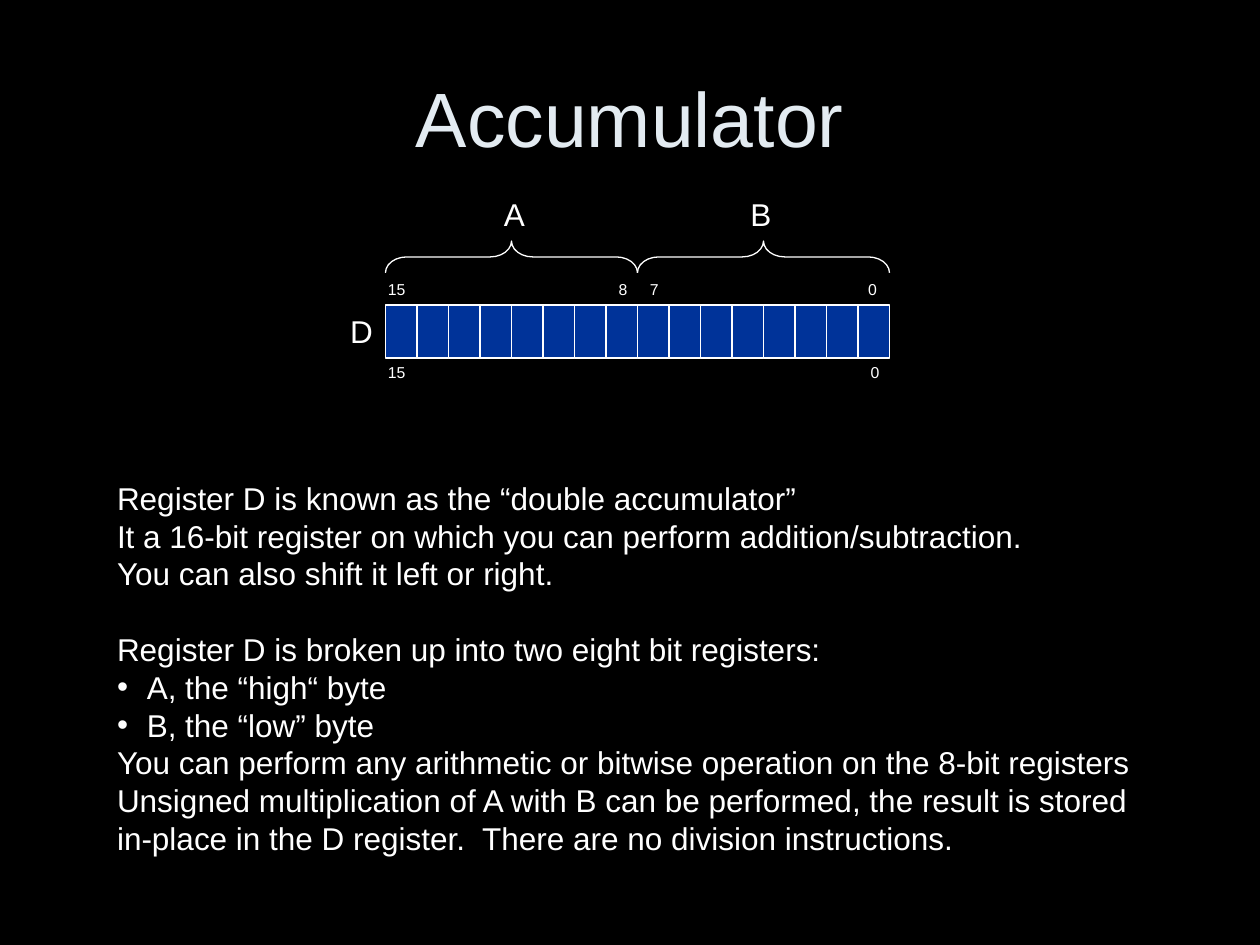
"""Builds a slide showing how accumulator D splits into registers A and B."""
from lxml.etree import SubElement
from pptx import Presentation
from pptx.dml.color import RGBColor
from pptx.enum.shapes import MSO_SHAPE
from pptx.enum.text import MSO_ANCHOR, PP_ALIGN
from pptx.oxml.ns import qn
from pptx.util import Cm, Pt

WHITE, BLACK, BLUE, PALE = "FFFFFF", "000000", "003399", "E3EBF1"
TITLE = "Accumulator"
BITS = 16
REGISTER_LEFT, REGISTER_TOP = 7.77, 6.15
REGISTER_WIDTH, REGISTER_HEIGHT = 10.16, 1.07
BRACE_TOP, BRACE_DEPTH = 4.86, 0.64
NAMES = [("D", 6.81, 6.17), ("A", 9.91, 3.81), ("B", 14.88, 3.81)]
BIT_NUMBERS = [
    ("15", 7.57, 5.51), ("8", 12.22, 5.51), ("7", 12.85, 5.51),
    ("0", 17.25, 5.51), ("15", 7.57, 7.19), ("0", 17.3, 7.19),
]
EXPLANATION = [
    ("Register D is known as the “double accumulator”", "plain"),
    ("It a 16-bit register on which you can perform addition/subtraction.", "plain"),
    ("You can also shift it left or right.", "plain"),
    ("Register D is broken up into two eight bit registers:", "section"),
    ("A, the “high“ byte", "bullet"),
    ("B, the “low” byte", "bullet"),
    ("You can perform any arithmetic or bitwise operation on the 8-bit registers", "plain"),
    ("Unsigned multiplication of A with B can be performed, the result is stored\n"
     "in-place in the D register.  There are no division instructions.", "plain"),
]
LINE_PITCH = Pt(21.6)


def colour(hex_code):
    return RGBColor.from_string(hex_code)


def apply(target, **values):
    for attribute, value in values.items():
        setattr(target, attribute, value)


def style_text(paragraph, size, hex_code=WHITE):
    apply(paragraph.font, name="Arial", size=Pt(size))
    paragraph.font.color.rgb = colour(hex_code)


def outline(shape):
    shape.shadow.inherit = False
    shape.line.color.rgb = colour(WHITE)
    shape.line.width = Pt(0.75)


def add_title(slide):
    title = slide.shapes.title
    apply(title, left=Cm(1.27), top=Cm(0.76), width=Cm(22.86), height=Cm(3.18))
    apply(title.text_frame, text=TITLE, vertical_anchor=MSO_ANCHOR.MIDDLE)
    heading = title.text_frame.paragraphs[0]
    heading.alignment = PP_ALIGN.CENTER
    style_text(heading, 44, PALE)


def add_register(slide):
    bit_width = REGISTER_WIDTH / BITS
    for bit in range(BITS):
        cell = slide.shapes.add_shape(
            MSO_SHAPE.RECTANGLE, Cm(REGISTER_LEFT + bit * bit_width),
            Cm(REGISTER_TOP), Cm(bit_width), Cm(REGISTER_HEIGHT))
        cell.fill.solid()
        cell.fill.fore_color.rgb = colour(BLUE)
        outline(cell)


def add_braces(slide):
    span = REGISTER_WIDTH / 2
    turn = (span - BRACE_DEPTH) / 2
    for half in range(2):
        brace = slide.shapes.add_shape(
            MSO_SHAPE.LEFT_BRACE, Cm(REGISTER_LEFT + half * span + turn),
            Cm(BRACE_TOP - turn), Cm(BRACE_DEPTH), Cm(span))
        brace.rotation = 90
        brace.adjustments[0] = 0.67
        brace.fill.background()
        outline(brace)


def add_label(slide, text, left, top, size):
    width, height = (0.93, 1.02) if size == 18 else (0.43 + 0.22 * len(text), 0.64)
    label = slide.shapes.add_textbox(Cm(left), Cm(top), Cm(width), Cm(height))
    apply(label.text_frame, text=text, word_wrap=False)
    style_text(label.text_frame.paragraphs[0], size)


def add_bullet(paragraph):
    properties = paragraph._p.get_or_add_pPr()
    properties.set("marL", str(Cm(0.6)))
    properties.set("indent", str(-Cm(0.6)))
    bullet_colour = SubElement(properties, qn("a:buClr"))
    SubElement(bullet_colour, qn("a:srgbClr"), val=WHITE)
    SubElement(properties, qn("a:buFont"), typeface="Arial")
    SubElement(properties, qn("a:buChar"), char="•")


def add_explanation(slide):
    body = slide.shapes.add_textbox(Cm(2.11), Cm(9.53), Cm(21.11), Cm(7.87)).text_frame
    body.word_wrap = True
    for index, (text, role) in enumerate(EXPLANATION):
        paragraph = body.add_paragraph() if index else body.paragraphs[0]
        paragraph.text = text
        if role == "bullet":
            add_bullet(paragraph)
        if role == "section":
            paragraph.space_before = LINE_PITCH
        paragraph.line_spacing = LINE_PITCH
        style_text(paragraph, 18)


def main():
    deck = Presentation()
    apply(deck, slide_width=Cm(25.4), slide_height=Cm(19.05))
    slide = deck.slides.add_slide(deck.slide_layouts[5])
    slide.background.fill.solid()
    slide.background.fill.fore_color.rgb = colour(BLACK)
    add_title(slide)
    add_register(slide)
    add_braces(slide)
    for labels, size in ((NAMES, 18), (BIT_NUMBERS, 9)):
        for text, left, top in labels:
            add_label(slide, text, left, top, size)
    add_explanation(slide)
    deck.save("out.pptx")


if __name__ == "__main__":
    main()
